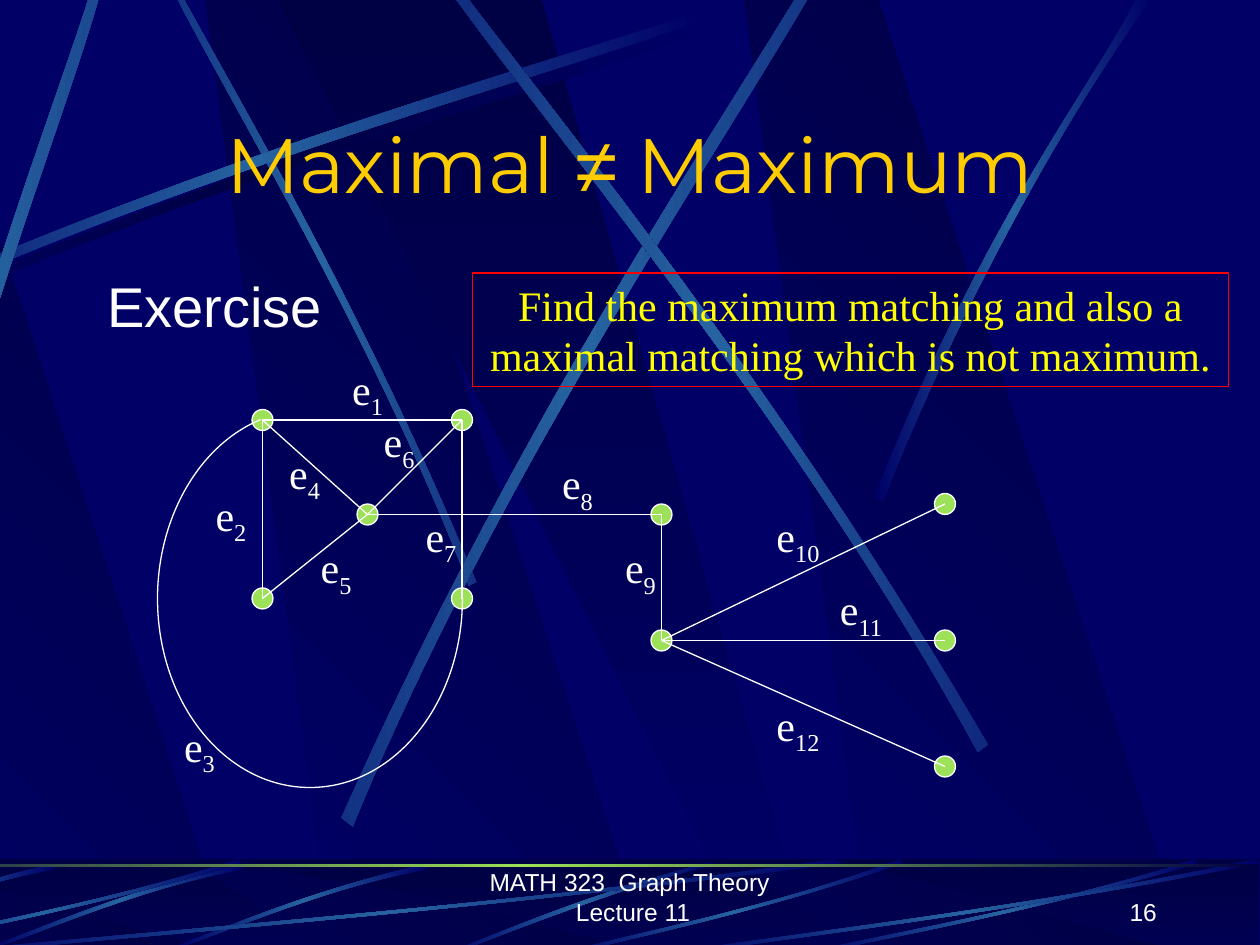
from copy import deepcopy
from dataclasses import dataclass
from math import cos, radians, sin
from lxml import etree
from pptx import Presentation
from pptx import util as u
from pptx.dml.color import RGBColor
from pptx.enum import shapes, text
from pptx.oxml.ns import qn

Point = tuple[float, float]


@dataclass(frozen=True)
class Theme:
    navy, deep, steel, green = "000066", "000044", "2663A0", "9CE157"
    gold, yellow, red, white = "FFCC00", "FFFF00", "FF0000", "FFFFFF"
    sans, serif, display = "Arial", "Times New Roman", "Montserrat"
    title, body, label, footer, hairline = 44, 32, 24, 14, 0.75


@dataclass(frozen=True)
class Panel:
    xs: tuple[float, float, float, float]
    colors: tuple[str, str]
    angle: float


@dataclass(frozen=True)
class Ribbon:
    points: list[Point]
    turn: float = 0
    glow: str = Theme.steel


@dataclass(frozen=True)
class Edge:
    number: int
    ends: str
    label: Point


THEME = Theme()
FADE = (THEME.navy, THEME.deep)
UNIT = 1 / 12
PANELS = [
    Panel((2.63, 5.15, 2.69, 1.63), FADE, 315),
    Panel((-0.68, 1.84, -0.62, -1.69), FADE, 315),
    Panel((6.91, 9.44, 6.97, 5.91), FADE, 315),
    Panel((6, 6.43, 4.3, 2.21), FADE[::-1], 90),
]
UPPER_RIBBONS = [
    Ribbon([(-1.45, 2.75), (1.63, 1.33), (4.43, 0.58), (5.63, 0.17),
            (5.66, 0.23), (4.48, 0.68), (1.28, 1.5), (-1.42, 2.85)], glow=THEME.deep),
    Ribbon([(3.78, 4.62), (2.86, 2.38), (1.77, 0.59), (1.35, -0.21),
            (1.31, -0.2), (1.7, 0.61), (2.96, 2.64), (3.72, 4.65)], 45),
    Ribbon([(-1.52, 2.67), (1.56, 1.25), (4.36, 0.5), (5.56, 0.09),
            (5.59, 0.15), (4.42, 0.6), (1.21, 1.42), (-1.49, 2.77)]),
    Ribbon([(-1.1, 6.39), (-0.56, 3.32), (0.41, 0.95), (0.74, -0.13),
            (0.81, -0.11), (0.52, 0.99), (-0.61, 3.68), (-1, 6.45)], 312),
    Ribbon([(2.71, 6.49), (4.15, 3.25), (5.85, 0.79), (6.51, -0.34),
            (6.58, -0.31), (5.96, 0.84), (4, 3.63), (2.8, 6.56)], 321),
    Ribbon([(7.84, 5.91), (6.13, 2.97), (4.27, 0.75), (3.52, -0.27),
            (3.46, -0.23), (4.17, 0.81), (6.32, 3.32), (7.76, 5.97)], 35),
    Ribbon([(6.94, 3.94), (7.82, 1.73), (8.69, 0.65), (9.02, -0.01),
            (9.14, -0.01), (8.08, 1.45), (7.3, 3.22), (7.01, 3.98)]),
]
SWEEP = [(1, 6.85), (0.57, 7.25), (0.17, 7.46), (0.01, 7.58),
         (0, 7.56), (0.17, 7.43), (0.62, 7.2), (0.99, 6.82)]
SWEEP_SPANS = [(-0.52, 6.69), (-1.2, 1.92), (4.47, 7.17), (6.4, 9.51), (5.33, 10)]
TWIG = [(1.96, 6.86), (1.03, 7.07), (0.32, 7.39), (0, 7.5),
        (0.01, 7.52), (0.34, 7.42), (1.14, 7.05), (1.98, 6.9)]
LOWER_RIBBONS = [
    Ribbon([(5.64, 6.84), (4.58, 7.12), (3.89, 7.44), (3.55, 7.56),
            (3.6, 7.57), (4.03, 7.4), (4.99, 7.02), (5.65, 6.87)]),
    *[Ribbon([(left + x, y) for x, y in TWIG], 315) for left in (1.41, -0.05, -1.55)],
    *[Ribbon([(left + share * (right - left), y) for share, y in SWEEP]) for left, right in SWEEP_SPANS],
]
VERTICES = {
    "a": (25, 40), "b": (44, 40), "c": (35, 49), "d": (25, 57), "e": (44, 57),
    "f": (63, 49), "g": (63, 61), "h": (90, 48), "i": (90, 61), "j": (90, 73),
}
LOOP = [(2.07, 3.33), (1.58, 3.53), (1.25, 4.11), (1.25, 4.75), (1.25, 5.58), (1.79, 6.25),
        (2.46, 6.25), (3.13, 6.25), (3.67, 5.58), (3.67, 4.75)]
LOOP_LABEL = (15, 68)
EDGES = [
    Edge(1, "ab", (31, 34)), Edge(2, "ad", (18, 46)), Edge(4, "ac", (25, 42)), Edge(5, "cd", (28, 51)),
    Edge(6, "cb", (34, 39)), Edge(7, "be", (38, 48)), Edge(8, "cf", (51, 43)), Edge(9, "fg", (57, 51)),
    Edge(10, "gh", (72, 48)), Edge(11, "gi", (78, 55)), Edge(12, "gj", (72, 66)),
]


def rgb(color: str) -> RGBColor:
    return RGBColor.from_string(color)


def rotate(point: Point, degrees: float) -> Point:
    c, s = cos(radians(degrees)), sin(radians(degrees))
    return point[0] * c - point[1] * s, point[0] * s + point[1] * c


def outline(slide, points: list[Point], segments: tuple[int, ...] = (), close: bool = True):
    corners = [(u.Inches(x), u.Inches(y)) for x, y in points]
    builder = slide.shapes.build_freeform(*corners[0])
    builder.add_line_segments(corners[1:], close=close)
    shape = builder.convert_to_shape()
    shape.shadow.inherit = False
    steps = iter(shape._element.spPr.findall(".//" + qn("a:lnTo")))
    for count in segments:
        first, *others = [next(steps) for _ in range(count)]
        if others:
            first.tag = qn("a:cubicBezTo")
        for other in others:
            first.append(other[0])
            other.getparent().remove(other)
    return shape


def shade(shape, colors: tuple[str, ...], angle: float) -> None:
    shape.line.fill.background()
    shape.fill.gradient()
    shape.fill.gradient_angle = -angle % 360
    stops = shape._element.spPr.find(".//" + qn("a:gsLst"))
    if len(colors) == 3:
        stops.insert(1, deepcopy(stops[0]))
    for i, (stop, color) in enumerate(zip(shape.fill.gradient_stops, colors)):
        stop.position = i / (len(colors) - 1)
        stop.color.rgb = rgb(color)


def draw_panels(slide, top: float, bottom: float) -> None:
    for panel in PANELS:
        corners = list(zip(panel.xs, (bottom, bottom, top, top)))
        shade(outline(slide, corners), panel.colors, panel.angle)


def draw_ribbon(slide, ribbon: Ribbon) -> None:
    level = [rotate(point, -ribbon.turn) for point in ribbon.points]
    middle = tuple((min(axis) + max(axis)) / 2 for axis in zip(*level))
    pivot = rotate(middle, ribbon.turn)
    placed = [(x - middle[0] + pivot[0], y - middle[1] + pivot[1]) for x, y in level]
    shape = outline(slide, placed, (3, 1, 3))
    shape.rotation = ribbon.turn
    shade(shape, (THEME.navy, ribbon.glow, THEME.navy), -ribbon.turn)


def add_preset(slide, preset, *box: float, color: str = THEME.deep):
    shape = slide.shapes.add_shape(preset, *map(u.Inches, box))
    shape.shadow.inherit = False
    shape.line.fill.background()
    shape.fill.solid()
    shape.fill.fore_color.rgb = rgb(color)
    return shape


def draw_backdrop(slide, master) -> None:
    oblong, band = shapes.MSO_SHAPE.RECTANGLE, (-1.69, 6.82, 11.68, 0.75)
    draw_panels(slide, 0, 7.54)
    for ribbon in UPPER_RIBBONS:
        draw_ribbon(slide, ribbon)
    shade(add_preset(slide, oblong, *band), FADE[::-1], 90)
    draw_panels(slide, 6.91, 7.57)
    veil = add_preset(slide, oblong, *band)
    etree.SubElement(veil._element.spPr.find(".//" + qn("a:srgbClr")), qn("a:alpha"), val="50000")
    for ribbon in LOWER_RIBBONS:
        draw_ribbon(slide, ribbon)
    shade(add_preset(slide, oblong, -1.69, 6.86, 11.68, 0.02), (THEME.deep, THEME.green, THEME.deep), 0)
    for order, shape in enumerate([s for s in slide.shapes if not s.is_placeholder]):
        shape._element.find(".//" + qn("p:cNvPr")).set("id", str(100 + order))
        master.shapes._spTree.insert(2 + order, shape._element)


def write(shape, content: str, *, size: float, font: str, color: str = THEME.white,
          align=text.PP_ALIGN.CENTER, anchor=text.MSO_ANCHOR.TOP, subscript: str = "",
          fallback: str = "\n", plain_list: bool = False) -> None:
    frame = shape.text_frame
    frame.word_wrap, frame.auto_size, frame.vertical_anchor = True, text.MSO_AUTO_SIZE.NONE, anchor
    paragraph = frame.paragraphs[0]
    paragraph.alignment, paragraph.space_before = align, u.Pt(0)
    if plain_list:
        properties = paragraph._p.get_or_add_pPr()
        properties.set("marL", str(u.Inches(0.37)))
        properties.set("indent", str(u.Inches(-0.37)))
        etree.SubElement(properties, qn("a:buNone"))
        paragraph.line_spacing = 0.9
    before, symbol, after = content.partition(fallback)
    for part, face in ((before, font), (symbol, THEME.sans), (after, font), (subscript, font)):
        if part:
            run = paragraph.add_run()
            run.text, run.font.size, run.font.name = part, u.Pt(size), face
            run.font.color.rgb = rgb(color)
    if subscript:
        run._r.get_or_add_rPr().set("baseline", "-25000")


def add_text(slide, box: tuple[float, ...], content: str, **style):
    shape = slide.shapes.add_textbox(*map(u.Inches, box))
    write(shape, content, **style)
    return shape


def fill_placeholder(shape, box: tuple[float, ...], content: str, **style) -> None:
    shape.left, shape.top, shape.width, shape.height = map(u.Inches, box)
    write(shape, content, **style)


def stroke(shape, color: str = THEME.white) -> None:
    shape.line.color.rgb = rgb(color)
    shape.line.width = u.Pt(THEME.hairline)


def draw_label(slide, number: int, corner: Point) -> None:
    box = (corner[0] * UNIT, corner[1] * UNIT, 8 * UNIT, 0.56)
    add_text(slide, box, "e", subscript=str(number), size=THEME.label, font=THEME.serif)


def draw_graph(slide) -> None:
    for x, y in VERTICES.values():
        box = (side * UNIT for side in (x - 1, y - 1, 2, 2))
        stroke(add_preset(slide, shapes.MSO_SHAPE.OVAL, *box, color=THEME.green))
    for edge in EDGES:
        ends = [u.Inches(side * UNIT) for name in edge.ends for side in VERTICES[name]]
        line = slide.shapes.add_connector(shapes.MSO_CONNECTOR.STRAIGHT, *ends)
        stroke(line)
        etree.SubElement(line._element.spPr, qn("a:effectLst"))
        draw_label(slide, edge.number, edge.label)
    loop = outline(slide, LOOP, (3, 3, 3), close=False)
    loop.fill.background()
    stroke(loop)
    draw_label(slide, 3, LOOP_LABEL)


def main() -> None:
    deck = Presentation()
    deck.slide_width, deck.slide_height = u.Inches(10), u.Inches(7.5)
    slide = deck.slides.add_slide(deck.slide_layouts[1])
    slide.background.fill.solid()
    slide.background.fill.fore_color.rgb = rgb(THEME.navy)
    draw_backdrop(slide, deck.slide_master)
    heading, topic = slide.placeholders
    fill_placeholder(heading, (0.75, 0.88, 8.5, 0.83), "Maximal ≠ Maximum", fallback="≠", size=THEME.title,
                     font=THEME.display, color=THEME.gold, anchor=text.MSO_ANCHOR.MIDDLE)
    fill_placeholder(topic, (0.75, 26 * UNIT, 8.5, 0.58), "Exercise", size=THEME.body, font=THEME.sans,
                     align=text.PP_ALIGN.LEFT, plain_list=True)
    footer = dict(size=THEME.footer, font=THEME.sans, anchor=text.MSO_ANCHOR.BOTTOM)
    add_text(slide, (3.44, 6.9, 3.17, 0.5), "MATH 323  Graph Theory  Lecture 11", **footer)
    add_text(slide, (7.2, 6.9, 2.08, 0.5), "16", align=text.PP_ALIGN.RIGHT, **footer)
    draw_graph(slide)
    task = add_text(slide, (3.75, 26 * UNIT, 6, 0.9),
                    "Find the maximum matching and also a maximal matching which is not maximum.",
                    size=THEME.label, font=THEME.serif, color=THEME.yellow)
    stroke(task, THEME.red)
    deck.save("out.pptx")


if __name__ == "__main__":
    main()
